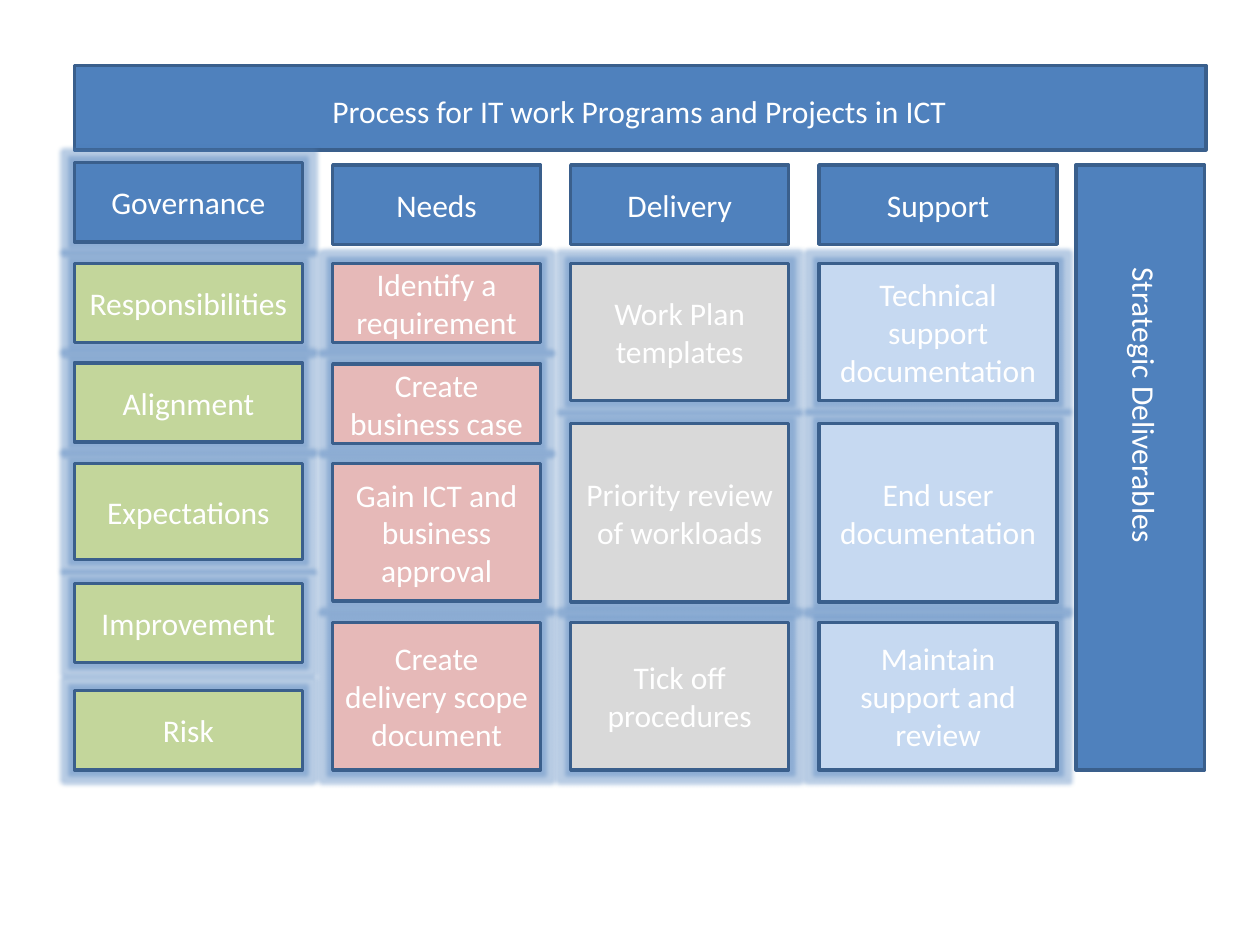
import pptx
import pptx.util
import pptx.dml.color
import pptx.enum.shapes
import pptx.enum.text
import pptx.oxml.ns
import lxml.etree
from pptx.util import Inches

BLUE = "4F81BD"
ANCHOR = pptx.enum.text.MSO_ANCHOR
ALIGN = pptx.enum.text.PP_ALIGN


def write(s, text, align, anchor):
    tf = s.text_frame
    for name, value in {"word_wrap": True, "vertical_anchor": anchor}.items():
        setattr(tf, name, value)
    for i, line in enumerate(text.split("\n")):
        p = tf.paragraphs[0] if i == 0 else tf.add_paragraph()
        p.alignment = align
        r = p.add_run()
        r.text = line
        for name, value in {"name": "Calibri", "size": pptx.util.Pt(18)}.items():
            setattr(r.font, name, value)
        r.font.color.rgb = pptx.dml.color.RGBColor.from_string("FFFFFF")


def box(x, y, w, h, fill, text="", glow=False):
    s = slide.shapes.add_shape(pptx.enum.shapes.MSO_SHAPE.RECTANGLE,
                               Inches(x), Inches(y), Inches(w), Inches(h))
    s.shadow.inherit = False
    s.fill.solid()
    s.fill.fore_color.rgb = pptx.dml.color.RGBColor.from_string(fill)
    s.line.color.rgb = pptx.dml.color.RGBColor.from_string("3A5F8C")
    s.line.width = pptx.util.Pt(2)
    if glow:
        qn = pptx.oxml.ns.qn
        effects = s._element.spPr.find(qn("a:effectLst"))
        halo = lxml.etree.SubElement(effects, qn("a:glow"), rad="63500")
        color = lxml.etree.SubElement(halo, qn("a:srgbClr"), val=BLUE)
        lxml.etree.SubElement(color, qn("a:alpha"), val="40000")
    if text:
        write(s, text, ALIGN.CENTER, ANCHOR.MIDDLE)


prs = pptx.Presentation()
prs.slide_width, prs.slide_height = Inches(10), Inches(7.5)
slide = prs.slides.add_slide(prs.slide_layouts[6])

box(0.59, 0.52, 8.98, 0.67, BLUE)
tb = slide.shapes.add_textbox(Inches(0.98), Inches(0.68), Inches(8.19), Inches(0.4))
write(tb, "Process for IT work Programs and Projects in ICT", ALIGN.CENTER, ANCHOR.TOP)

wide_rows = [(2.09, 1.09), (3.36, 1.42), (4.94, 1.17)]
columns = [
    ("Governance", 0.59, 1.29, 1.81, "C3D69B",
     [(2.09, 0.63), (2.88, 0.63), (3.68, 0.76), (4.63, 0.63), (5.48, 0.63)],
     ["Responsibilities", "Alignment", "Expectations", "Improvement", "Risk"]),
    ("Needs", 2.64, 1.31, 1.65, "E6B9B8",
     [(2.09, 0.63), (2.89, 0.63), (3.68, 1.09), (4.94, 1.17)],
     ["Identify a\nrequirement", "Create business case",
      "Gain ICT and business approval", "Create delivery scope document"]),
    ("Delivery", 4.53, 1.31, 1.73, "D9D9D9", wide_rows,
     ["Work Plan templates", "Priority review of workloads", "Tick off procedures"]),
    ("Support", 6.5, 1.31, 1.89, "C6D9F1", wide_rows,
     ["Technical support documentation", "End user documentation",
      "Maintain support and review"]),
]
for heading, x, top, w, fill, rows, steps in columns:
    box(x, top, w, 0.63, BLUE, heading, glow=heading == "Governance")
    for (y, h), step in zip(rows, steps):
        box(x, y, w, h, fill, step, glow=True)

box(8.54, 1.31, 1.02, 4.8, BLUE)
tb = slide.shapes.add_textbox(Inches(7.47), Inches(3.44), Inches(3.23), Inches(0.4))
tb.rotation = 90
write(tb, "Strategic Deliverables", ALIGN.LEFT, ANCHOR.TOP)

prs.save("out.pptx")
